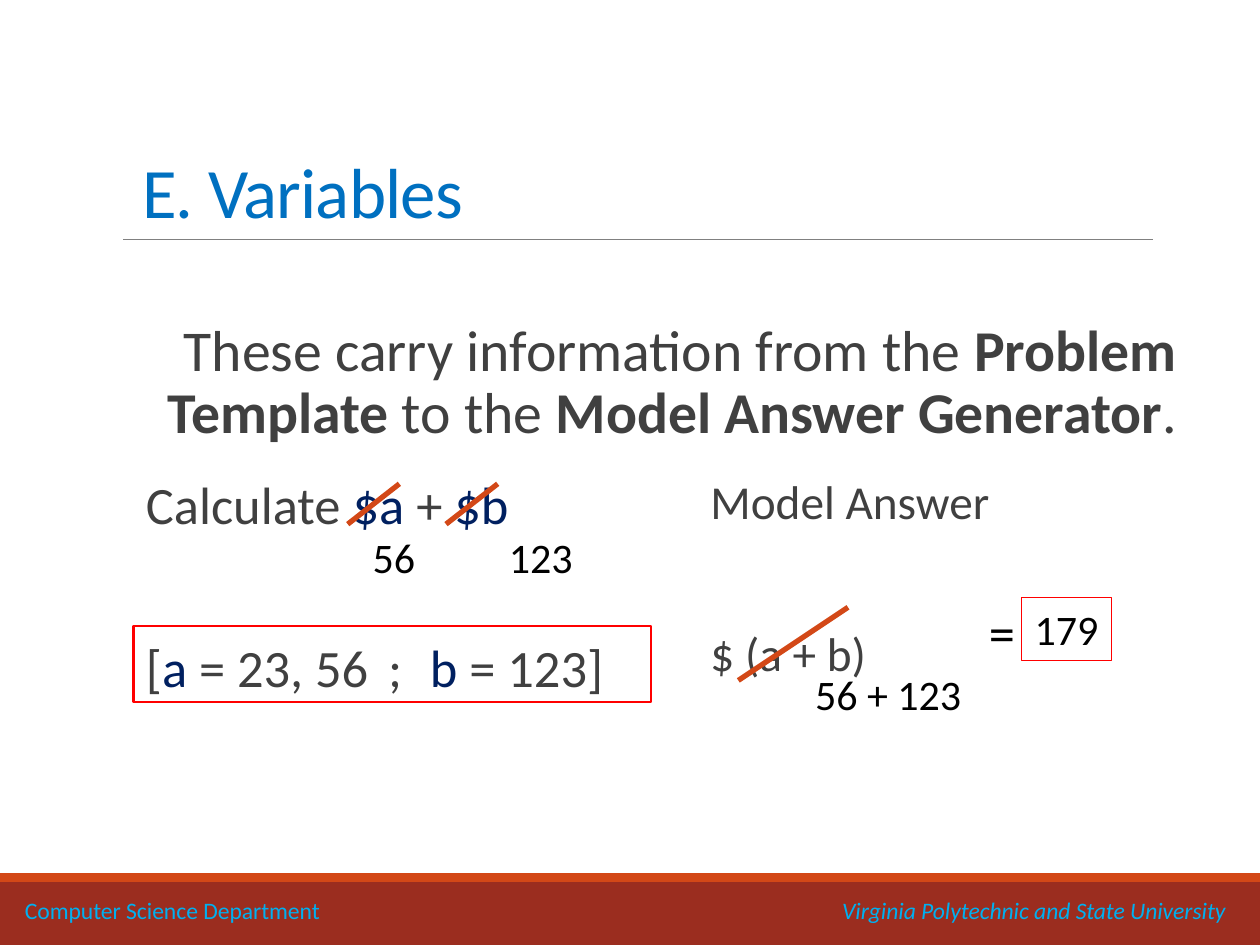
import pptx
import pptx.util
import pptx.dml.color
import pptx.enum.shapes
import pptx.enum.text
import pptx.oxml.ns
from lxml import etree

Inches, Pt = pptx.util.Inches, pptx.util.Pt
qn = pptx.oxml.ns.qn
ANCHOR = pptx.enum.text.MSO_ANCHOR
FONT = "Calibri"
COLORS = {
    "band": "9B2D1F", "accent": "D34817", "rule": "808080", "box": "FF0000",
    "title": "0070C0", "body": "404040", "variable": "002060",
    "value": "000000", "footer": "00B0F0",
}


def rgb(name):
    """Return the named colour."""
    return pptx.dml.color.RGBColor.from_string(COLORS[name])


def add_run(p, text, size, color="body", bold=False, italic=False, spc=None):
    """Add one formatted run to a paragraph."""
    r = p.add_run()
    r.text = text
    f = r.font
    f.name, f.size, f.bold, f.italic = FONT, Pt(size), bold, italic
    f.color.rgb = rgb(color)
    if spc is not None:
        r.font._element.set("spc", str(round(spc * 100)))


def add_text(s, x, y, w, h, paras, size, color="body", wrap=True, inset=0.1,
             anchor=ANCHOR.TOP, line=1.0, before=0, after=0):
    """Add a text box of paragraphs, each a list of (text, format) runs."""
    sp = s.shapes.add_textbox(Inches(x), Inches(y), Inches(w), Inches(h))
    tf = sp.text_frame
    tf.word_wrap, tf.vertical_anchor = wrap, anchor
    tf.margin_left = tf.margin_right = Inches(inset)
    for i, runs in enumerate(paras):
        p = tf.add_paragraph() if i else tf.paragraphs[0]
        p.line_spacing, p.space_after = line, Pt(after)
        p.space_before = Pt(before if i else 0)
        for text, fmt in runs:
            add_run(p, text, size, **{"color": color, **fmt})
    return sp


def add_rect(s, x, y, w, h, fill=None, line=None, width=1):
    """Add a rectangle with an optional fill and outline."""
    sp = s.shapes.add_shape(pptx.enum.shapes.MSO_SHAPE.RECTANGLE,
                            Inches(x), Inches(y), Inches(w), Inches(h))
    sp.shadow.inherit = False
    if fill:
        sp.fill.solid()
        sp.fill.fore_color.rgb = rgb(fill)
    else:
        sp.fill.background()
    if line:
        sp.line.color.rgb = rgb(line)
        sp.line.width = Pt(width)
    else:
        sp.line.fill.background()
    return sp


def add_line(s, x1, y1, x2, y2, color, width):
    """Add a straight line without a shadow."""
    c = s.shapes.add_connector(pptx.enum.shapes.MSO_CONNECTOR.STRAIGHT,
                               Inches(x1), Inches(y1), Inches(x2), Inches(y2))
    c.line.color.rgb = rgb(color)
    c.line.width = Pt(width)
    etree.SubElement(c._element.spPr, qn("a:effectLst"))


def add_title(s, x, y, w, h):
    """Place the title and the rule at its foot."""
    add_line(s, x - 0.05, y + h, x + 8.12, y + h, "rule", 0.5)
    add_text(s, x, y, w, h, [[("E. Variables", {"spc": -0.5})]], 40.5, "title",
             anchor=ANCHOR.BOTTOM, line=0.85)


def add_intro(s, x, y, w, h):
    """Place the introductory sentence with its hanging indent."""
    bold = {"bold": True}
    runs = [("These carry information from the ", {}), ("Problem Template ", bold),
            ("to the ", {}), ("Model Answer Generator", bold), (".", {})]
    sp = add_text(s, x, y, w, h, [runs], 33, inset=0, line=0.9, after=2)
    pPr = sp.text_frame.paragraphs[0]._p.get_or_add_pPr()
    pPr.set("marL", str(Inches(0.1)))
    pPr.set("indent", str(-Inches(0.1)))
    etree.SubElement(pPr, qn("a:buChar")).set("char", " ")


def add_problem(s, x, y, w, h):
    """Place the problem template, its value ranges and the chosen values."""
    var = {"color": "variable"}
    add_rect(s, x, y + 1.22, 4.11, 0.6, line="box", width=1.25)
    add_text(s, x, y, w, h, [
        [("Calculate ", {}), ("$a", var), (" + ", {}), ("$b", var)],
        [("[", {}), ("a", var), (" = 23, 56", {}), (" ; ", {"spc": 4.5}),
         ("b", var), (" = 123]", {})],
    ], 30, line=0.9, before=59, after=2)
    for dx, width, value in ((1.8, 0.67, "56"), (2.88, 0.72, "123")):
        add_text(s, x + dx, y + 0.42, width, 0.5, [[(value, {})]], 24, "value")
    for dx in (1.7, 2.48):
        add_line(s, x + dx, y + 0.41, x + dx + 0.41, y + 0.09, "accent", 3)


def add_answer(s, x, y, w, h):
    """Place the model answer, its substituted values and the result."""
    add_text(s, x, y, w, h, [[("Model Answer", {})], [("$ (a + b)", {})]], 27,
             line=0.9, before=55.6, after=2)
    add_line(s, x + 0.32, y + 1.65, x + 1.19, y + 1.07, "accent", 3)
    add_text(s, x + 0.83, y + 1.51, 1.51, 0.5, [[("56 + 123", {})]], 24, "value")
    add_text(s, x + 2.21, y + 0.96, 0.41, 0.61, [[("=", {})]], 30, "value",
             wrap=False)
    sp = add_rect(s, x + 2.57, y + 0.99, 0.71, 0.5, line="box", width=0.75)
    tf = sp.text_frame
    tf.word_wrap = False
    p = tf.paragraphs[0]
    p.alignment = pptx.enum.text.PP_ALIGN.CENTER
    add_run(p, "179", 24, "value")


def add_footer(s, x, y, w, h):
    """Place the footer bands and the two names, the second set right."""
    add_rect(s, x, y + 0.07, w, h - 0.07, fill="band")
    add_rect(s, x, y, w, 0.07, fill="accent")
    sp = add_text(s, x + 0.1, y + 0.13, w - 0.14, 0.33, [[
        ("Computer Science Department\t", {}),
        ("Virginia Polytechnic and State University", {"italic": True}),
    ]], 13.5, "footer")
    tabs = etree.SubElement(sp.text_frame.paragraphs[0]._p.get_or_add_pPr(),
                            qn("a:tabLst"))
    tab = etree.SubElement(tabs, qn("a:tab"))
    tab.set("pos", str(Inches(w - 0.47)))
    tab.set("algn", "r")


def main():
    """Build and save the slide."""
    prs = pptx.Presentation()
    prs.slide_width, prs.slide_height = Inches(10), Inches(7.5)
    s = prs.slides.add_slide(prs.slide_layouts[6])
    add_footer(s, 0, 6.93, 10, 0.57)
    add_title(s, 1.03, 0.31, 8.12, 1.59)
    add_intro(s, 1.23, 2.5, 8.25, 1.27)
    add_problem(s, 1.06, 3.75, 4.29, 1.89)
    add_answer(s, 5.54, 3.75, 3.77, 2.05)
    prs.save("out.pptx")


if __name__ == "__main__":
    main()
